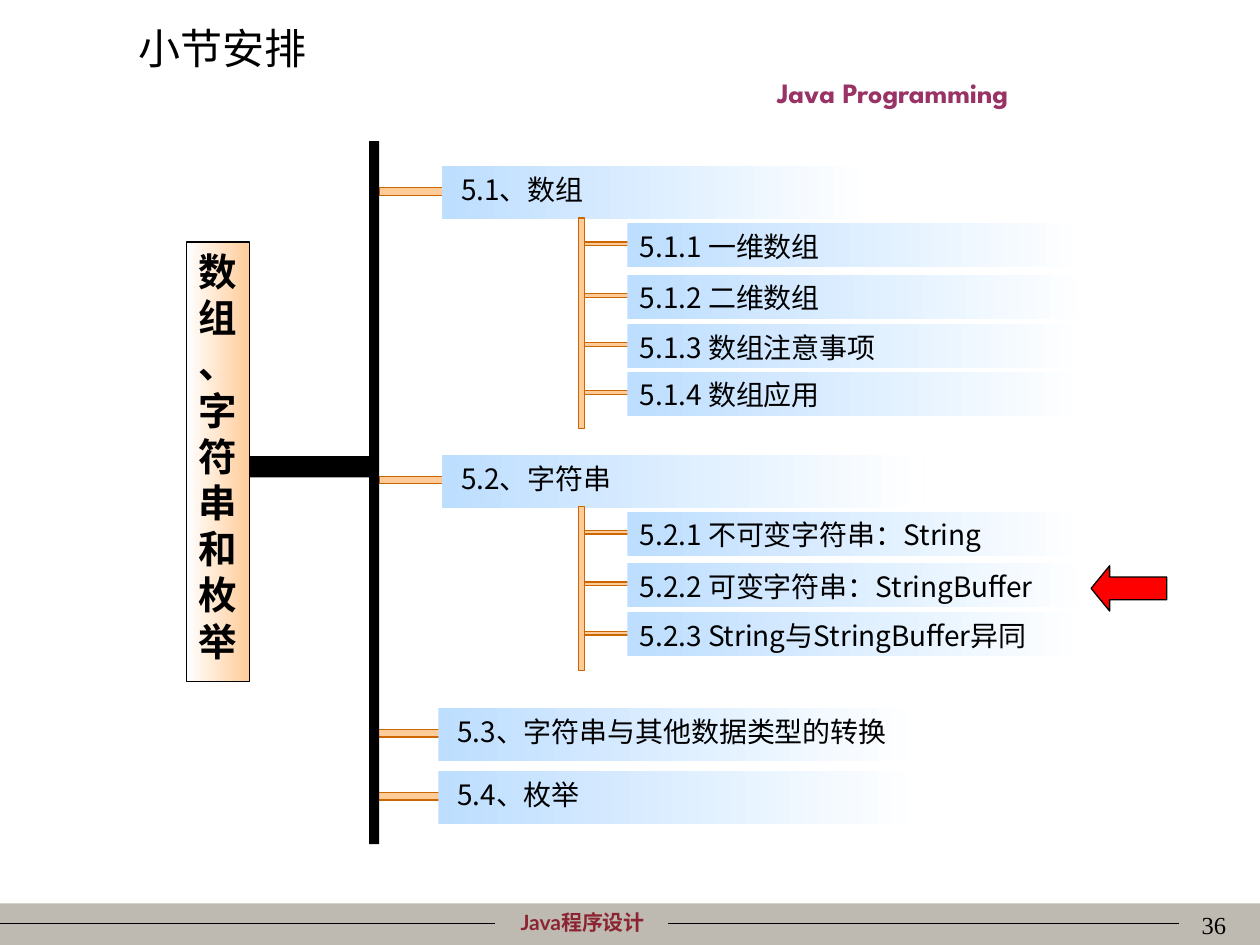
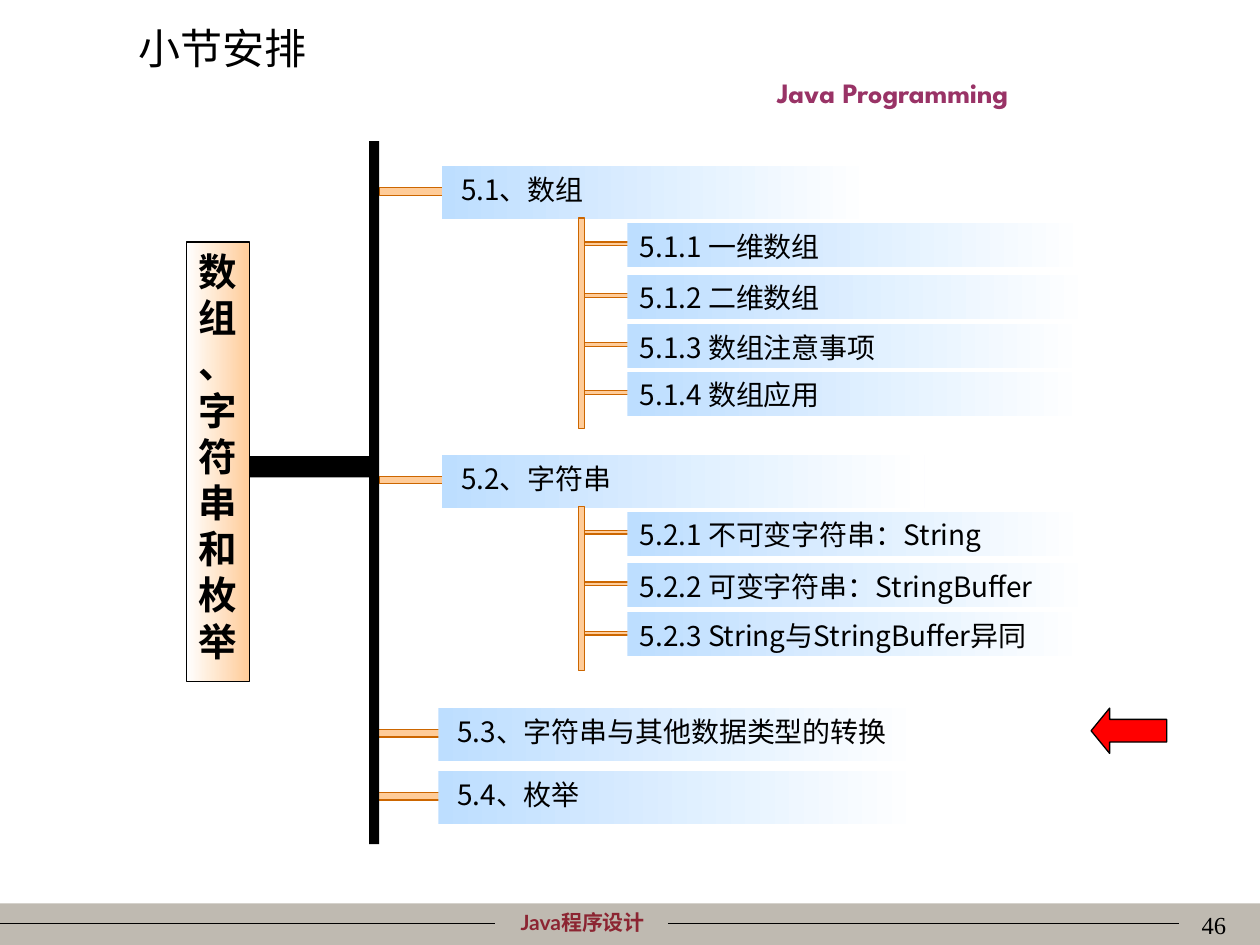
from dataclasses import dataclass
from typing import Optional

import pptx
import pptx.dml.color
import pptx.enum.shapes
import pptx.enum.text
import pptx.oxml
import pptx.oxml.ns
import pptx.util
from pptx.util import Inches

COLORS = {
    "black": "000000", "white": "FFFFFF", "band": "BFBAB1", "wine": "8C2532",
    "plum": "993366", "peach": "FFCC99", "rust": "CC6600", "sky": "BDDEFF",
    "red": "FF0000",
}
HAN = "Noto Sans CJK SC"
SHAPE = pptx.enum.shapes.MSO_SHAPE
ALIGN = pptx.enum.text.PP_ALIGN
ANCHOR = pptx.enum.text.MSO_ANCHOR


@dataclass(frozen=True)
class Box:
    left: float
    top: float
    width: float
    height: float

    def spans(self) -> list:
        return [Inches(v) for v in (self.left, self.top, self.width, self.height)]


@dataclass(frozen=True)
class Style:
    size: int
    font: str = HAN
    color: str = "black"
    bold: bool = False
    align: object = ALIGN.LEFT


@dataclass(frozen=True)
class Part:
    text: str
    left: float
    top: float
    width: float
    subs: tuple = ()
    trunk: float = 0


@dataclass(frozen=True)
class Page:
    number: str
    arrow: float


BODY = Style(16)
TITLE = Style(24)
ROOT = Style(22, bold=True, align=ALIGN.CENTER)
BRAND = Style(16, "League Spartan", "plum", True, ALIGN.CENTER)
FOOT = Style(12, "Lato", "wine", True, ALIGN.CENTER)
COUNT = Style(14, "Times New Roman", align=ALIGN.RIGHT)

PARTS = (
    Part("5.1、数组", 3.51, 1.32, 3.41,
         ("5.1.1 一维数组", "5.1.2 二维数组", "5.1.3 数组注意事项", "5.1.4 数组应用"), 1.67),
    Part("5.2、字符串", 3.51, 3.61, 3.83,
         ("5.2.1 不可变字符串：String", "5.2.2 可变字符串：StringBuffer",
          "5.2.3 String与StringBuffer异同"), 1.3),
    Part("5.3、字符串与其他数据类型的转换", 3.48, 5.62, 3.83),
    Part("5.4、枚举", 3.48, 6.12, 3.83),
)
# Drop below the section bar, and width, of each sub-bar
SUBS = ((0.45, 3.65), (0.86, 3.69), (1.25, 3.64), (1.63, 3.64))
PAGES = (Page("36", 4.49), Page("46", 5.62))


def rgb(name: str) -> pptx.dml.color.RGBColor:
    return pptx.dml.color.RGBColor.from_string(COLORS[name])


def write(shape, text: str, style: Style, inset: float = 0.1) -> None:
    frame = shape.text_frame
    frame.word_wrap = True
    frame.vertical_anchor = ANCHOR.TOP
    frame.margin_left, frame.margin_right = Inches(inset), Inches(0.1)
    frame.margin_top = frame.margin_bottom = Inches(0.05)
    para = frame.paragraphs[0]
    para.alignment = style.align
    para._p.get_or_add_pPr().set("hangingPunct", "0")
    run = para.add_run()
    run.text = text
    font = run.font
    font.name, font.size, font.bold = style.font, pptx.util.Pt(style.size), style.bold
    font.color.rgb = rgb(style.color)
    # East Asian typeface
    east = pptx.oxml.parse_xml(f'<a:ea {pptx.oxml.ns.nsdecls("a")} typeface="{HAN}"/>')
    run._r.get_or_add_rPr().find(pptx.oxml.ns.qn("a:latin")).addnext(east)


def label(slide, box: Box, text: str, style: Style) -> None:
    write(slide.shapes.add_textbox(*box.spans()), text, style)


def block(slide, box: Box, fill: str, fade: Optional[str] = None,
          edge: Optional[str] = None, kind=SHAPE.RECTANGLE):
    shape = slide.shapes.add_shape(kind, *box.spans())
    shape.shadow.inherit = False
    if fade:
        shape.fill.gradient()
        shape.fill.gradient_angle = 0
        for stop, name, place in zip(shape.fill.gradient_stops, (fill, fade), (0, 1)):
            stop.color.rgb = rgb(name)
            stop.position = place
    else:
        shape.fill.solid()
        shape.fill.fore_color.rgb = rgb(fill)
    if edge:
        shape.line.color.rgb = rgb(edge)
        shape.line.width = pptx.util.Pt(0.75)
    else:
        shape.line.fill.background()
    return shape


def stem(slide, box: Box) -> None:
    block(slide, box, "peach", edge="rust")


def bar(slide, box: Box, text: str, inset: float = 0.1) -> None:
    write(block(slide, box, "sky", "white"), text, BODY, inset)


def rule(slide, start: float, end: float) -> None:
    line = slide.shapes.add_connector(
        pptx.enum.shapes.MSO_CONNECTOR.STRAIGHT,
        Inches(start), Inches(7.33), Inches(end), Inches(7.33))
    line.line.color.rgb = rgb("black")
    line.line.width = pptx.util.Pt(0.75)
    line._element.spPr.append(
        pptx.oxml.parse_xml(f'<a:effectLst {pptx.oxml.ns.nsdecls("a")}/>'))


def frame(slide, number: str) -> None:
    # Footer band, course name and page number
    block(slide, Box(0, 7.17, 10, 0.33), "band")
    label(slide, Box(3.62, 7.17, 2.01, 0.3), "Java程序设计", FOOT)
    rule(slide, 0, 3.93)
    rule(slide, 5.3, 9.36)
    label(slide, Box(7.75, 7.17, 2.08, 0.33), number, COUNT)
    # Heading
    label(slide, Box(5.08, 0.55, 4.01, 0.37), "Java Programming", BRAND)
    label(slide, Box(1, 0.13, 2.85, 0.5), "小节安排", TITLE)


def branch(slide, part: Part) -> None:
    stem(slide, Box(part.left - 0.5, part.top + 0.17, 0.51, 0.06))
    bar(slide, Box(part.left, part.top, part.width, 0.42), part.text, 0.15)
    for text, (drop, width) in zip(part.subs, SUBS):
        top = part.top + drop
        stem(slide, Box(4.61, top + 0.15, 0.51, 0.03))
        bar(slide, Box(4.98, top, width, 0.35), text)
    if part.subs:
        stem(slide, Box(4.59, part.top + 0.41, 0.05, part.trunk))


def tree(slide) -> None:
    root = block(slide, Box(1.48, 1.92, 0.5, 3.49), "white", "peach", "black")
    write(root, "数组、字符串和枚举", ROOT)
    for part in PARTS:
        branch(slide, part)
    block(slide, Box(1.98, 3.62, 1, 0.17), "black")
    block(slide, Box(2.93, 1.12, 0.08, 5.58), "black")


def main() -> None:
    deck = pptx.Presentation()
    deck.slide_width, deck.slide_height = Inches(10), Inches(7.5)
    for page in PAGES:
        slide = deck.slides.add_slide(deck.slide_layouts[6])
        frame(slide, page.number)
        tree(slide)
        # Arrow at the current section
        arrow = block(slide, Box(8.66, page.arrow, 0.6, 0.36), "red",
                      edge="black", kind=SHAPE.LEFT_ARROW)
        arrow.adjustments[1] = 0.41
    deck.save("out.pptx")


if __name__ == "__main__":
    main()
